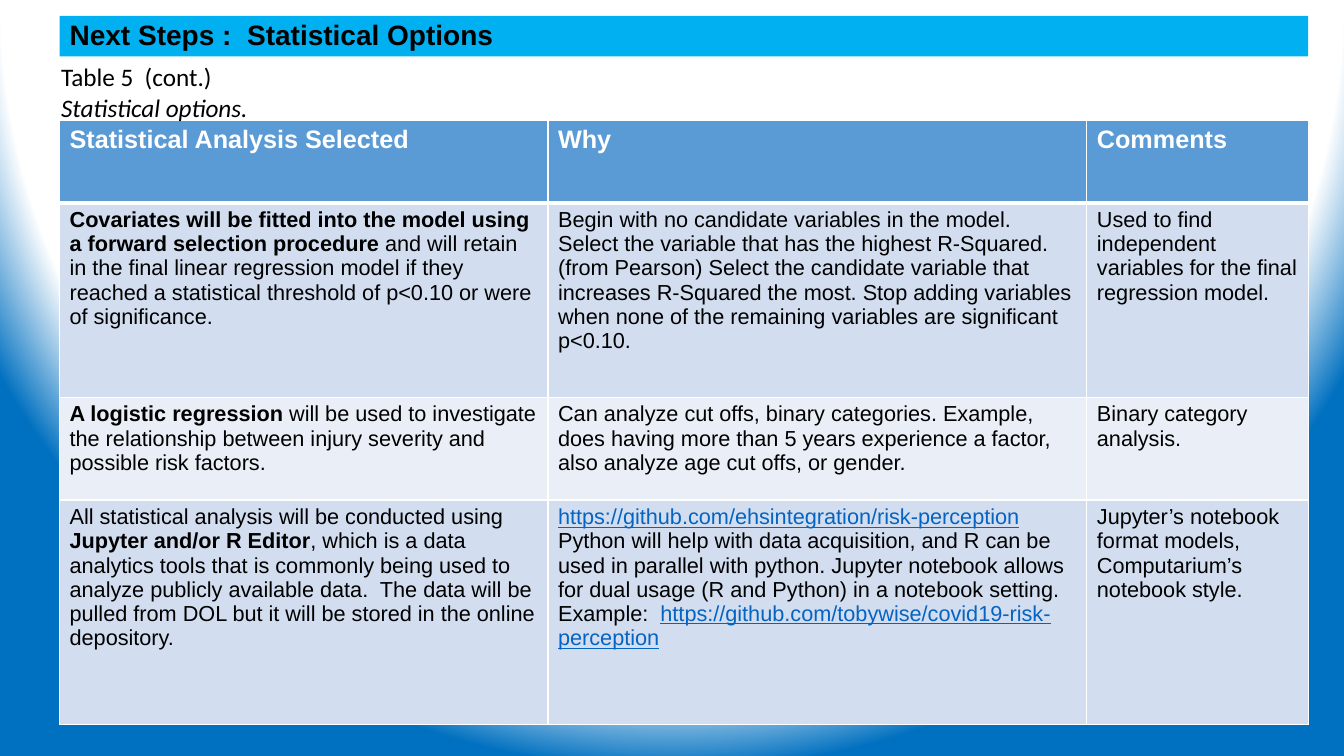
from dataclasses import dataclass

from pptx import Presentation
from pptx.dml.color import RGBColor
from pptx.enum.text import MSO_ANCHOR, MSO_AUTO_SIZE, PP_ALIGN
from pptx.oxml import parse_xml
from pptx.oxml.ns import nsdecls
from pptx.util import Cm, Pt


@dataclass(frozen=True)
class Theme:
    black: str = "000000"
    white: str = "FFFFFF"
    edge: str = "0070C0"
    banner: str = "00B0F0"
    header: str = "5B9BD5"
    band_dark: str = "D2DEEF"
    band_light: str = "EAEFF7"
    link: str = "0563C1"
    title_size: float = 20
    heading_size: float = 18
    cell_size: float = 15.5
    table_font: str = "Arial"
    caption_font: str = "Calibri"


theme = Theme()


def write(para, text, size=theme.cell_size, color=theme.black, font=theme.table_font,
          bold=False, italic=False, underline=False):
    span = para.add_run()
    span.text = text
    span.font.size = Pt(size)
    span.font.name = font
    span.font.color.rgb = RGBColor.from_string(color)
    span.font.bold = bold
    span.font.italic = italic
    span.font.underline = underline


def add_border(cell, side, points):
    cell._tc.get_or_add_tcPr().append(parse_xml(
        f'<a:ln{side} {nsdecls("a")} w="{Pt(points)}"><a:solidFill>'
        f'<a:srgbClr val="{theme.white}"/></a:solidFill></a:ln{side}>'))


deck = Presentation()
deck.slide_width = Cm(33.87)
deck.slide_height = Cm(19.05)
page = deck.slides.add_slide(deck.slide_layouts[5])

page.background.fill.solid()
background = page.element.xpath("//p:bgPr")[0]
background.replace(background[0], parse_xml(
    f'<a:gradFill {nsdecls("a")} rotWithShape="1"><a:gsLst>'
    f'<a:gs pos="87000"><a:srgbClr val="{theme.white}"/></a:gs>'
    f'<a:gs pos="100000"><a:srgbClr val="{theme.edge}"/></a:gs></a:gsLst>'
    '<a:path path="circle"><a:fillToRect l="50000" t="-80000" r="50000" b="180000"/>'
    '</a:path></a:gradFill>'))

title = page.shapes.title
title.left, title.top, title.width, title.height = Cm(1.5), Cm(0.4), Cm(31.47), Cm(1.02)
title.fill.solid()
title.fill.fore_color.rgb = RGBColor.from_string(theme.banner)
title.text_frame.auto_size = MSO_AUTO_SIZE.NONE
title.text_frame.vertical_anchor = MSO_ANCHOR.MIDDLE
para = title.text_frame.paragraphs[0]
para.alignment = PP_ALIGN.LEFT
para.line_spacing = 0.9
write(para, "Next Steps :  Statistical Options", size=theme.title_size, bold=True)

strong = {"bold": True}
linked = {"color": theme.link, "underline": True}
heading = {"size": theme.heading_size, "color": theme.white, "bold": True}
rows = [
    [[("Statistical Analysis Selected", heading)], [("Why", heading)], [("Comments", heading)]],
    [
        [("Covariates will be fitted into the model using a forward selection procedure", strong),
         (" and will retain in the final linear regression model if they reached a statistical "
          "threshold of p<0.10 or were of significance.", {})],
        [("Begin with no candidate variables in the model. Select the variable that has the "
          "highest R-Squared. (from Pearson) Select the candidate variable that increases "
          "R-Squared the most. Stop adding variables when none of the remaining variables are "
          "significant p<0.10.", {})],
        [("Used to find independent variables for the final regression model.", {})],
    ],
    [
        [("A logistic regression", strong),
         (" will be used to investigate the relationship between injury severity and possible "
          "risk factors.", {})],
        [("Can analyze cut offs, binary categories. Example, does having more than 5 years "
          "experience a factor, also analyze age cut offs, or gender.", {})],
        [("Binary category analysis.", {})],
    ],
    [
        [("All statistical analysis will be conducted using ", {}),
         ("Jupyter and/or R Editor", strong),
         (", which is a data analytics tools that is commonly being used to analyze publicly "
          "available data.  The data will be pulled from DOL but it will be stored in the "
          "online depository.", {})],
        [("https://github.com/ehsintegration/risk-perception", linked),
         None,
         ("Python will help with data acquisition, and R can be used in parallel with python. "
          "Jupyter notebook allows for dual usage (R and Python) in a notebook setting. "
          "Example:  ", {}),
         ("https://github.com/tobywise/covid19-risk-perception", linked)],
        [("Jupyter’s notebook format models, Computarium’s notebook style.", {})],
    ],
]
column_widths = [12.31, 13.58, 5.58]
row_heights = [2.08, 4.9, 2.59, 5.66]
row_fills = [theme.header, theme.band_dark, theme.band_light, theme.band_dark]

table = page.shapes.add_table(len(rows), len(column_widths), Cm(1.5), Cm(3.03),
                              Cm(sum(column_widths)), Cm(sum(row_heights))).table
for column, width in zip(table.columns, column_widths):
    column.width = Cm(width)
for row_index, (row, height, fill) in enumerate(zip(rows, row_heights, row_fills)):
    table.rows[row_index].height = Cm(height)
    borders = {"L": 1, "R": 1, "T": 3 if row_index == 1 else 1, "B": 3 if row_index == 0 else 1}
    for column_index, pieces in enumerate(row):
        cell = table.cell(row_index, column_index)
        for side, points in borders.items():
            add_border(cell, side, points)
        cell.fill.solid()
        cell.fill.fore_color.rgb = RGBColor.from_string(fill)
        para = cell.text_frame.paragraphs[0]
        for piece in pieces:
            if piece is None:
                para.add_line_break()
            else:
                text, style = piece
                write(para, text, **style)

caption = page.shapes.add_textbox(Cm(1.29), Cm(1.43), Cm(28.68), Cm(1.8)).text_frame
caption.word_wrap = True
caption.auto_size = MSO_AUTO_SIZE.SHAPE_TO_FIT_TEXT
write(caption.paragraphs[0], "Table 5  (cont.)", size=theme.heading_size, font=theme.caption_font)
write(caption.add_paragraph(), "Statistical options.", size=theme.heading_size,
      font=theme.caption_font, italic=True)

deck.save("out.pptx")
